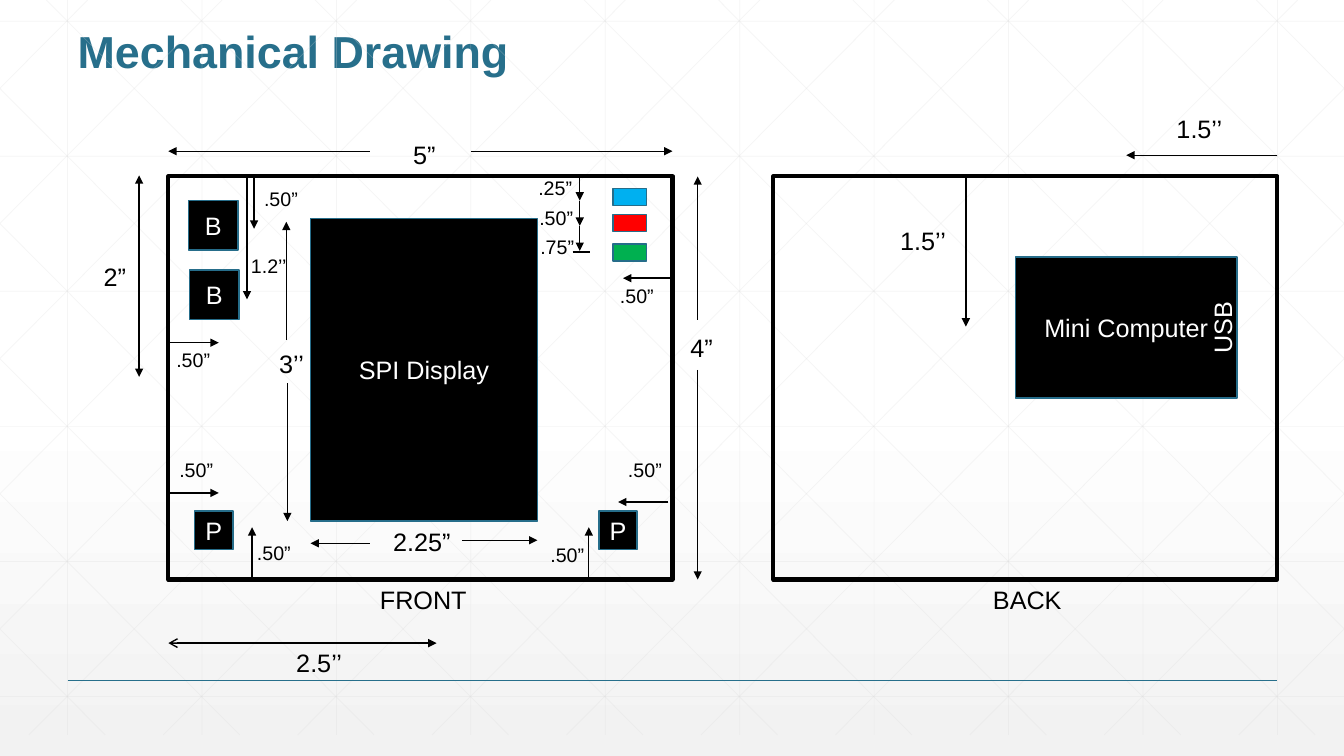
from lxml import etree
from pptx import Presentation
from pptx.dml.color import RGBColor
from pptx.enum.shapes import MSO_CONNECTOR, MSO_SHAPE
from pptx.enum.text import MSO_ANCHOR, MSO_AUTO_SIZE, PP_ALIGN
from pptx.oxml.ns import qn
from pptx.util import Cm, Pt

RECT = MSO_SHAPE.RECTANGLE
STRAIGHT = MSO_CONNECTOR.STRAIGHT
TOP, MIDDLE = MSO_ANCHOR.TOP, MSO_ANCHOR.MIDDLE
LEFT, CENTER = PP_ALIGN.LEFT, PP_ALIGN.CENTER
GROW, NO_FIT = MSO_AUTO_SIZE.SHAPE_TO_FIT_TEXT, MSO_AUTO_SIZE.NONE

FONT = "Arial"
CM_PER_INCH = 2.54
WIDTH, HEIGHT = 13.33, 7.5
GRID_BOTTOM, GRID_STEP, DIAGONAL_RUN = 7.29, 4 / 3, 7.25
COLORS = {
    "title": "276F8B", "edge": "266D8A", "grid": "D9D9D9",
    "black": "000000", "white": "FFFFFF", "shade": "F2F2F2",
    "blue": "00B0F0", "red": "FF0000", "green": "00B050",
}

BOARDS = [(1.67, "FRONT", 3.67, 1.07), (7.67, "BACK", 9.75, 0.89)]
PARTS = [
    ("SPI Display", 3.08, 2.17, 2.25, 3),
    ("Mini Computer", 10.07, 2.55, 2.2, 1.4),
    ("B", 1.87, 1.99, 0.49, 0.49),
    ("B", 1.88, 2.68, 0.49, 0.49),
    ("P", 1.93, 5.07, 0.38, 0.38),
    ("P", 5.94, 5.07, 0.38, 0.38),
]
LEDS = [("blue", 1.87), ("red", 2.13), ("green", 2.42)]
ARROWS = [
    (3.67, 1.5, 1.67, 1.5), (4.67, 1.5, 6.67, 1.5),
    (6.92, 3.17, 6.92, 1.75), (6.92, 3.67, 6.92, 5.75),
    (3.67, 5.39, 3.08, 5.39), (4.58, 5.36, 5.33, 5.36),
    (2.84, 3.37, 2.84, 2.2), (2.85, 3.8, 2.85, 5.17),
    (5.75, 1.74, 5.75, 1.99), (5.75, 1.99, 5.75, 2.24),
    (5.75, 2.24, 5.75, 2.49), (6.68, 2.76, 6.18, 2.76),
    (2.5, 5.73, 2.5, 5.23), (5.84, 5.73, 5.84, 5.23),
    (1.67, 4.89, 2.17, 4.89), (6.63, 4.98, 6.13, 4.98),
    (1.67, 3.4, 2.17, 3.4), (2.52, 1.77, 2.52, 2.27),
    (2.45, 1.77, 2.45, 2.97), (9.58, 1.74, 9.58, 3.24),
    (12.67, 1.54, 11.17, 1.54),
]
TICKS = [(1.67, 5.25, 1.67, 5.42), (5.08, 5, 5.25, 5), (5.68, 2.5, 5.85, 2.5)]
TIGHT_LABELS = [
    ("5”", 4, 1.33, 0.43), ("4”", 6.75, 3.25, 0.43),
    ("2”", 0.93, 2.54, 0.43), ("2.25”", 3.8, 5.17, 0.78),
]
LARGE_LABELS = [
    ("3’’", 2.67, 3.41, 0.57), ("2.5’’", 2.84, 6.37, 1),
    ("1.5’’", 11.57, 1.08, 0.79), ("1.5’’", 8.83, 2.19, 0.79),
]
SMALL_LABELS = [
    (".25”", 5.24, 1.7), (".50”", 5.25, 1.99), (".75”", 5.26, 2.28),
    (".50”", 6.05, 2.77), (".50”", 6.13, 4.49), (".50”", 5.36, 5.34),
    (".50”", 2.45, 5.32), (".50”", 1.68, 4.49), (".50”", 1.65, 3.4),
    (".50”", 2.52, 1.81),
]


def lengths(*inches):
    return [Cm(value * CM_PER_INCH) for value in inches]


def rgb(name):
    return RGBColor.from_string(COLORS[name])


def write(tf, text, size, color, align=LEFT, bold=False):
    p = tf.paragraphs[0]
    p.text = text
    p.alignment = align
    p.font.name = FONT
    p.font.size = Pt(size)
    p.font.bold = bold
    p.font.color.rgb = rgb(color)
    return p


def add_box(s, x, y, w, h, fill=None, line="edge", weight=1, text=None):
    sp = s.shapes.add_shape(RECT, *lengths(x, y, w, h))
    sp.shadow.inherit = False
    if fill:
        sp.fill.solid()
        sp.fill.fore_color.rgb = rgb(fill)
    else:
        sp.fill.background()
    sp.line.color.rgb = rgb(line)
    sp.line.width = Pt(weight)
    if text:
        sp.text_frame.vertical_anchor = MIDDLE
        write(sp.text_frame, text, 18, "white", CENTER)


def add_label(s, text, x, y, w, h=0.4, size=18, color="black", wrap=True):
    sp = s.shapes.add_textbox(*lengths(x, y, w, h))
    tf = sp.text_frame
    tf.word_wrap = wrap
    tf.auto_size = GROW
    write(tf, text, size, color)
    return sp


def add_line(s, x1, y1, x2, y2, color="black", weight=1, head=None, tail=None, alpha=None):
    c = s.shapes.add_connector(STRAIGHT, *lengths(x1, y1, x2, y2))
    c.line.color.rgb = rgb(color)
    c.line.width = Pt(weight)
    ln = c.line._ln
    if alpha:
        value = ln.find(".//" + qn("a:srgbClr"))
        etree.SubElement(value, qn("a:alpha"), val=str(alpha * 1000))
    for tag, kind in (("a:headEnd", head), ("a:tailEnd", tail)):
        if kind:
            etree.SubElement(ln, qn(tag), type=kind)
    etree.SubElement(c._element.spPr, qn("a:effectLst"))


def add_background(s):
    fill = s.background.fill
    fill.gradient()
    fill.gradient_angle = 270
    for stop, position, color in zip(fill.gradient_stops, (0.53, 1), ("white", "shade")):
        stop.position = position
        stop.color.rgb = rgb(color)


def add_grid(s):
    lines = []
    for i in range(10):
        x = 0.67 + i * GRID_STEP
        lines.append((x, 0, x, GRID_BOTTOM))
    for i in range(6):
        y = 0.21 + i * 1.34
        lines.append((0, y, WIDTH, y))
    slope = GRID_BOTTOM / DIAGONAL_RUN
    for i in range(-5, 10):
        x = 0.46 + i * GRID_STEP
        x1, x2 = max(0, x), min(WIDTH, x + DIAGONAL_RUN)
        y1, y2 = (x1 - x) * slope, (x2 - x) * slope
        lines.append((x1, y1, x2, y2))
        lines.append((WIDTH - x1, y1, WIDTH - x2, y2))
    for ends in lines:
        add_line(s, *ends, color="grid", weight=0.5, alpha=25)


def add_title(s, text):
    sp = s.shapes.title
    sp.left, sp.top, sp.width, sp.height = lengths(0.67, 0.25, 12, 1)
    tf = sp.text_frame
    tf.vertical_anchor = TOP
    tf.auto_size = NO_FIT
    write(tf, text, 32, "title", bold=True).line_spacing = 0.9


def main():
    prs = Presentation()
    prs.slide_width, prs.slide_height = lengths(WIDTH, HEIGHT)
    s = prs.slides.add_slide(prs.slide_layouts[5])
    add_background(s)
    add_grid(s)
    add_line(s, 0.67, 6.75, 12.67, 6.75, color="title")
    add_title(s, "Mechanical Drawing")

    for x, name, label_x, label_w in BOARDS:
        add_box(s, x, 1.75, 5, 4, line="black", weight=3)
        add_label(s, name, label_x, 5.75, label_w, wrap=False)
    for name, x, y, w, h in PARTS:
        add_box(s, x, y, w, h, fill="black", text=name)
    for color, y in LEDS:
        add_box(s, 6.08, y, 0.33, 0.17, fill=color)
    usb = add_label(s, "USB", 11.76, 3.05, 0.72, color="white", wrap=False)
    usb.rotation = 270

    for ends in ARROWS:
        add_line(s, *ends, tail="triangle")
    add_line(s, 1.38, 1.74, 1.38, 3.74, head="triangle", tail="triangle")
    add_line(s, 1.67, 6.38, 4.33, 6.38, head="arrow", tail="triangle")
    for ends in TICKS:
        add_line(s, *ends)

    for label in TIGHT_LABELS:
        add_label(s, *label, wrap=False)
    for label in LARGE_LABELS:
        add_label(s, *label)
    for label in SMALL_LABELS:
        add_label(s, *label, w=0.61, h=0.34, size=14)
    add_label(s, "1.2’’", 2.39, 2.47, 1.22, h=0.34, size=14)
    prs.save("out.pptx")


if __name__ == "__main__":
    main()
